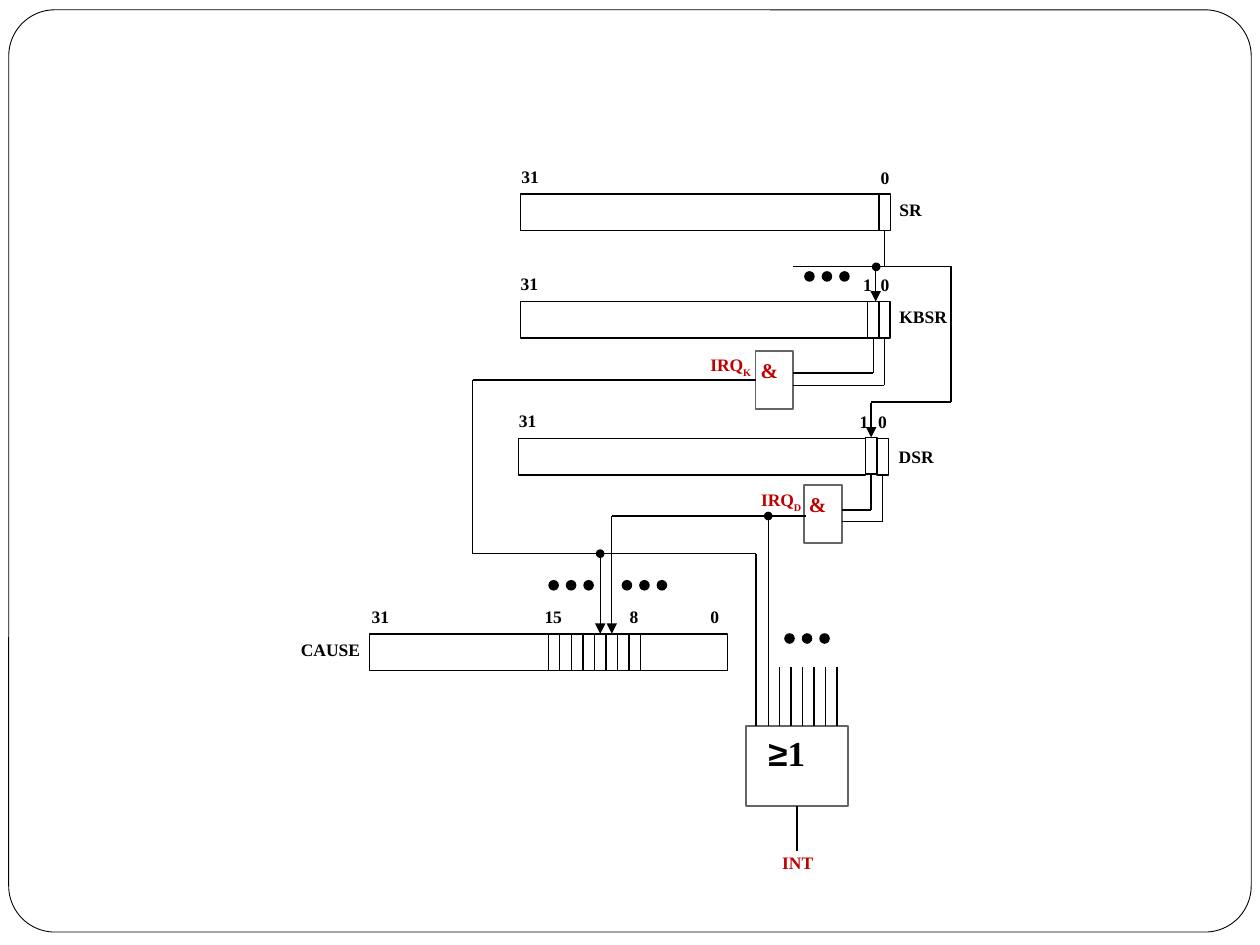
from lxml.etree import SubElement
from pptx import Presentation
from pptx.dml.color import RGBColor
from pptx.enum.shapes import MSO_CONNECTOR as CONNECTOR, MSO_SHAPE as SHAPE
from pptx.enum.text import MSO_ANCHOR as ANCHOR, PP_ALIGN as ALIGN
from pptx.oxml.ns import qn
from pptx.util import Pt

BLACK = RGBColor(0x00, 0x00, 0x00)
WHITE = RGBColor(0xFF, 0xFF, 0xFF)
RED = RGBColor(0xC0, 0x00, 0x00)
GRAY = RGBColor(0x69, 0x64, 0x64)
TOP, LEFT, BOTTOM = 0, 1, 2
CELL_WIDTH, CELL_HEIGHT = 6.6, 20.9

presentation = Presentation()
presentation.slide_width, presentation.slide_height = Pt(720), Pt(540)
slide = presentation.slides.add_slide(presentation.slide_layouts[6])
shapes = slide.shapes


def write(shape, runs, size=10, color=BLACK, margins=(1.4, 0.7, 1.4, 0.7)):
    """Fill a shape with runs of (text, font name, baseline)."""
    frame = shape.text_frame
    frame.word_wrap = True
    frame.vertical_anchor = ANCHOR.TOP
    frame.margin_left, frame.margin_top, frame.margin_right, frame.margin_bottom = map(Pt, margins)
    paragraph = frame.paragraphs[0]
    paragraph.alignment = ALIGN.LEFT
    for text, font_name, baseline in runs:
        run = paragraph.add_run()
        run.text = text
        run.font.name = font_name
        run.font.size = Pt(size)
        run.font.bold = True
        run.font.color.rgb = color
        if baseline:
            run.font._element.set("baseline", str(baseline))


def connect(x1, y1, x2, y2, begin=None, end=None, arrow=False):
    """Draw a wire; begin and end are (shape, side) pairs to join."""
    wire = shapes.add_connector(CONNECTOR.STRAIGHT, Pt(x1), Pt(y1), Pt(x2), Pt(y2))
    if begin:
        wire.begin_connect(*begin)
    if end:
        wire.end_connect(*end)
    wire.line.color.rgb = BLACK
    wire.line.width = Pt(0.75)
    if arrow:
        SubElement(wire.line._get_or_add_ln(), qn("a:tailEnd"), type="triangle")
    SubElement(wire._element.spPr, qn("a:effectLst"))


# Frame, register cells and gates: name, kind, left, top, width, height, fill, line colour, line width
boxes = [("frame", SHAPE.ROUNDED_RECTANGLE, 5, 5.6, 710, 527, WHITE, BLACK, 0.5)]
cells = [
    ("SR", 297.4, 110.9, 204.9), ("SR 0", 502.3, 110.9, CELL_WIDTH),
    ("KBSR", 297.4, 172.3, 198.4), ("KBSR 0", 502, 172.3, CELL_WIDTH),
    ("KBSR 1", 495.8, 172.3, CELL_WIDTH),
    ("DSR", 296.2, 250.6, 198.3), ("DSR 0", 501.1, 250.6, CELL_WIDTH),
    ("DSR 1", 494.5, 250, CELL_WIDTH),
    ("CAUSE high", 211, 362.2, 102.3), ("CAUSE low", 366.1, 362.2, 49.7),
]
cells += [(f"CAUSE {15 - i}", 313.3 + i * CELL_WIDTH, 362.2, CELL_WIDTH) for i in range(8)]
boxes += [(name, SHAPE.RECTANGLE, x, y, width, CELL_HEIGHT, None, BLACK, 0.75)
          for name, x, y, width in cells]
boxes += [(name, SHAPE.RECTANGLE, x, y, width, height, None, GRAY, 1)
          for name, x, y, width, height in (
              ("gate K", 431.8, 200.5, 21.6, 33.2),
              ("gate D", 459.4, 277.3, 21.6, 33.2),
              ("gate OR", 426.2, 414.7, 58.5, 46.1))]

# Ellipsis dots in threes, then wire junctions
boxes += [("dot", SHAPE.OVAL, x + 10 * i, y, 5.3, 5.3, BLACK, BLACK, 0.75)
          for x, y in ((459.9, 155.3), (313.7, 331.8), (355.6, 331.8), (448.5, 362.2))
          for i in range(3)]
boxes += [("junction", SHAPE.OVAL, x - 2.1, y - 2.1, 4.2, 4.2, BLACK, BLACK, 0.75)
          for x, y in ((500.7, 152.5), (439, 294.9), (343, 316.4))]

parts = {}
for name, kind, x, y, width, height, fill, line_color, line_width in boxes:
    shape = shapes.add_shape(kind, Pt(x), Pt(y), Pt(width), Pt(height))
    shape.shadow.inherit = False
    if fill is None:
        shape.fill.background()
    else:
        shape.fill.solid()
        shape.fill.fore_color.rgb = fill
    shape.line.color.rgb = line_color
    shape.line.width = Pt(line_width)
    parts[name] = shape
parts["frame"].adjustments[0] = 0.05

# Gate symbols
SERIF = "Times New Roman"
for name in ("gate K", "gate D"):
    write(parts[name], [("&", SERIF, 0)], size=12, color=RED, margins=(2.9, 3.6, 7.2, 3.6))
write(parts["gate OR"], [("≥", "Arial", 0), ("1", SERIF, 0)], size=20,
      margins=(12.9, 3.6, 7.2, 3.6))

# Labels: text, subscript, left, top, width, colour
for text, subscript, x, y, width, color in (
        ("31", "", 296.6, 94.3, 17.3, BLACK), ("0", "", 501.8, 94.6, 11.5, BLACK),
        ("SR", "", 512.6, 113, 40.3, BLACK),
        ("31", "", 296.2, 155.5, 17.3, BLACK), ("1", "", 491.8, 155.8, 16.6, BLACK),
        ("0", "", 501.8, 155.8, 11.5, BLACK), ("KBSR", "", 512.6, 174.4, 40.3, BLACK),
        ("31", "", 295.2, 233.5, 17.3, BLACK), ("1", "", 489.9, 234.1, 16.6, BLACK),
        ("0", "", 500.4, 234.1, 16.6, BLACK), ("DSR", "", 512.2, 254.2, 40.3, BLACK),
        ("31", "", 211, 345.5, 17.3, BLACK), ("15", "", 309.8, 345.7, 16.6, BLACK),
        ("8", "", 358.4, 345.7, 11.5, BLACK), ("0", "", 404.6, 345.7, 11.5, BLACK),
        ("CAUSE", "", 170.6, 364.4, 40.3, BLACK),
        ("IRQ", "K", 404.5, 201.6, 31, RED), ("IRQ", "D", 433.5, 278.6, 30.2, RED),
        ("INT", "", 445.6, 486, 40.3, RED)):
    label = shapes.add_textbox(Pt(x), Pt(y), Pt(width), Pt(16.6))
    runs = [(text, SERIF, 0)]
    if subscript:
        runs.append((subscript, SERIF, -30000))
    write(label, runs, color=color)

# Enable bus from SR to both device registers
connect(505.6, 131.8, 505.6, 152.2, begin=(parts["SR 0"], BOTTOM))
connect(452.9, 152.2, 543.4, 152.2)
connect(500.4, 152.2, 500.4, 172.3, arrow=True)
connect(543.4, 229.7, 543.4, 152.2)
connect(497.8, 229.7, 543.4, 229.7)
connect(497.8, 230.4, 497.8, 250, end=(parts["DSR 1"], TOP), arrow=True)

# Register bits into the AND gates
for cell, x, y, bottom, gate_right in (
        ("KBSR 1", 499.1, 213.1, 193.2, 453.4), ("KBSR 0", 505.3, 220.2, 193.2, 453.4),
        ("DSR 1", 497.8, 291.5, 270.9, 481), ("DSR 0", 504.4, 298.1, 271.5, 481)):
    connect(x, bottom, x, y, begin=(parts[cell], BOTTOM))
    connect(gate_right, y, x, y)

# Interrupt requests to CAUSE and the OR gate
connect(270, 217.1, 431.8, 217.1, end=(parts["gate K"], LEFT))
connect(270, 316.4, 270, 217.1)
connect(432, 316.4, 270, 316.4)
connect(343, 316.4, 343, 362.2, end=(parts["CAUSE 11"], TOP), arrow=True)
connect(349.6, 294.9, 460.6, 294.9)
connect(349.6, 294.9, 349.6, 362.2, end=(parts["CAUSE 10"], TOP), arrow=True)

# OR gate inputs and output
connect(432, 414.7, 432, 316.4)
connect(439, 414.7, 439, 294.9)
for i in range(6):
    x = 445.5 + 6.57 * i
    connect(x, 414.7, x, 381.1)
connect(455.45, 486.2, 455.45, 460.8, end=(parts["gate OR"], BOTTOM))

presentation.save("out.pptx")
